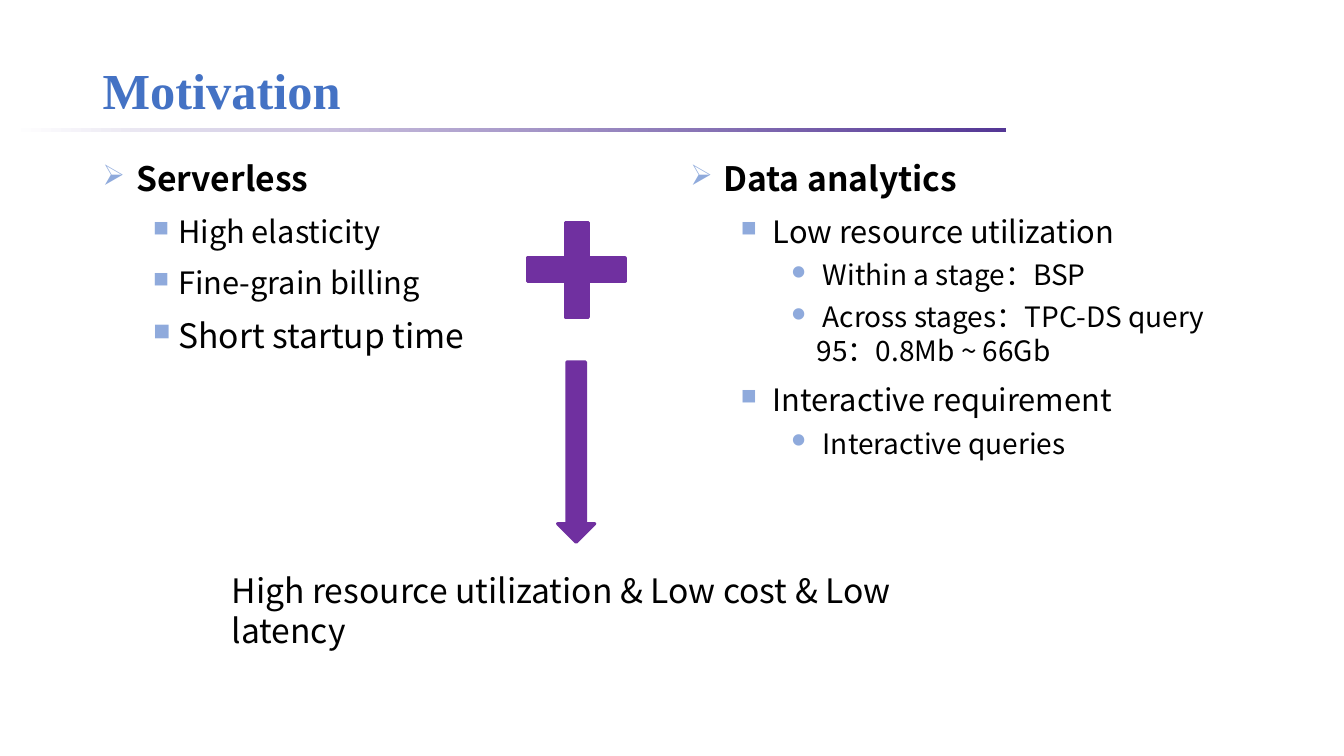
from dataclasses import dataclass

from lxml.etree import SubElement
from pptx import Presentation
from pptx.dml.color import RGBColor
from pptx.enum.shapes import MSO_SHAPE
from pptx.enum.text import MSO_ANCHOR, MSO_AUTO_SIZE
from pptx.oxml.ns import qn
from pptx.util import Inches, Pt


@dataclass(frozen=True)
class Theme:
    """Colours, fonts and type sizes of the slide."""
    title: str = "4472C4"
    text: str = "000000"
    bullet: str = "8FAADC"
    accent: str = "7030A0"
    rule: tuple = ("FFFFFF", "543795")
    serif: str = "Times New Roman"
    sans: str = "Noto Sans CJK SC"
    title_size: int = 36
    large: int = 24
    medium: int = 22
    small: int = 20


@dataclass(frozen=True)
class Level:
    """Bullet and spacing of one outline level."""
    char: str
    percent: int
    indent: float
    before: int
    line: float


LEVELS = (
    Level("Ø", 85, 0.25, 12, 1.2),
    Level("n", 70, 0.75, 10, 1.0),
    Level("l", 70, 1.25, 6, 1.0),
)


class Deck:
    """Draws styled elements on the current slide."""

    def __init__(self, theme):
        """Start a wide presentation with one blank slide."""
        self.theme = theme
        self.prs = Presentation()
        self.prs.slide_width, self.prs.slide_height = Inches(13.33), Inches(7.5)
        self.s = self.prs.slides.add_slide(self.prs.slide_layouts[6])

    def run(self, p, text, size, color=None, bold=False, font=None):
        """Add a formatted run to a paragraph."""
        r = p.add_run()
        r.text = text
        r.font.size, r.font.bold = Pt(size), bold
        r.font.name = font or self.theme.sans
        r.font.color.rgb = RGBColor.from_string(color or self.theme.text)
        SubElement(r.font._element, qn("a:ea"), typeface=self.theme.sans)

    def box(self, x, y, w, h):
        """Add a wrapping text box and return its text frame."""
        tf = self.s.shapes.add_textbox(*map(Inches, (x, y, w, h))).text_frame
        tf.word_wrap = True
        return tf

    def title(self, text, x, y, w, h):
        """Add the slide title."""
        tf = self.box(x, y, w, h)
        tf.vertical_anchor = MSO_ANCHOR.MIDDLE
        p = tf.paragraphs[0]
        p.line_spacing = 1.2
        self.run(p, text, self.theme.title_size, self.theme.title, True, self.theme.serif)

    def note(self, text, x, y, w, h):
        """Add a plain statement."""
        tf = self.box(x, y, w, h)
        tf.auto_size = MSO_AUTO_SIZE.SHAPE_TO_FIT_TEXT
        self.run(tf.paragraphs[0], text, self.theme.large)

    def bullet(self, p, depth):
        """Give a paragraph the bullet and spacing of its level."""
        level = LEVELS[depth]
        p.level = depth
        p.space_before, p.line_spacing = Pt(level.before), level.line
        pPr = p._p.get_or_add_pPr()
        pPr.set("marL", str(Inches(level.indent)))
        pPr.set("indent", str(Inches(-0.25)))
        color = SubElement(pPr, qn("a:buClr"))
        SubElement(color, qn("a:srgbClr"), val=self.theme.bullet)
        SubElement(pPr, qn("a:buSzPct"), val=str(level.percent * 1000))
        SubElement(pPr, qn("a:buFont"), typeface="Wingdings", charset="2")
        SubElement(pPr, qn("a:buChar"), char=level.char)

    def outline(self, heading, items, x, lead_font):
        """Add a bold heading with (level, text, size) items below it."""
        tf = self.box(x, 1.44, 5.67, 5.31)
        p = tf.paragraphs[0]
        self.bullet(p, 0)
        self.run(p, " ", self.theme.large, font=lead_font)
        self.run(p, heading, self.theme.large, bold=True)
        for depth, text, size in items:
            p = tf.add_paragraph()
            self.bullet(p, depth)
            self.run(p, text, size)

    def shape(self, kind, x, y, w, h, parent=None):
        """Add an accent shape to the slide or to a group."""
        sp = (parent or self.s).shapes.add_shape(kind, *map(Inches, (x, y, w, h)))
        sp.shadow.inherit = False
        color = RGBColor.from_string(self.theme.accent)
        sp.fill.solid()
        sp.fill.fore_color.rgb = sp.line.color.rgb = color
        sp.line.width = Pt(2.25)
        return sp

    def rule(self, x, y, w, h):
        """Add the fading bar under the title."""
        sp = self.shape(MSO_SHAPE.RECTANGLE, x, y, w, h)
        sp.line.fill.background()
        sp.fill.gradient()
        sp.fill.gradient_angle = 0
        for stop, color in zip(sp.fill.gradient_stops, self.theme.rule):
            stop.color.rgb = RGBColor.from_string(color)

    def plus(self, x, y, w, h):
        """Add a plus sign made of two crossed bars."""
        group = self.s.shapes.add_group_shape()
        self.shape(MSO_SHAPE.RECTANGLE, x, y, w, h, group)
        bar = self.shape(MSO_SHAPE.RECTANGLE, x + 0.02, y, w - 0.03, h, group)
        bar.rotation = 90


def main():
    """Build the motivation slide."""
    theme = Theme()
    deck = Deck(theme)
    deck.rule(0.11, 1.27, 9.87, 0.04)
    deck.title("Motivation", 0.92, 0.4, 11.5, 0.85)
    deck.outline("Serverless", [
        (1, "High elasticity", theme.medium),
        (1, "Fine-grain billing", theme.medium),
        (1, "Short startup time", theme.large),
    ], 0.92, theme.serif)
    deck.outline("Data analytics", [
        (1, " Low resource utilization", theme.medium),
        (2, " Within a stage：BSP", theme.small),
        (2, " Across stages：TPC-DS query 95：0.8Mb ~ 66Gb", theme.small),
        (1, " Interactive requirement", theme.medium),
        (2, " Interactive queries", theme.small),
    ], 6.75, theme.sans)
    deck.plus(5.23, 2.56, 0.97, 0.23)
    deck.shape(MSO_SHAPE.DOWN_ARROW, 5.53, 3.59, 0.37, 1.79)
    deck.note("High resource utilization & Low cost & Low latency", 2.2, 5.6, 7.57, 0.5)
    deck.prs.save("out.pptx")


if __name__ == "__main__":
    main()
